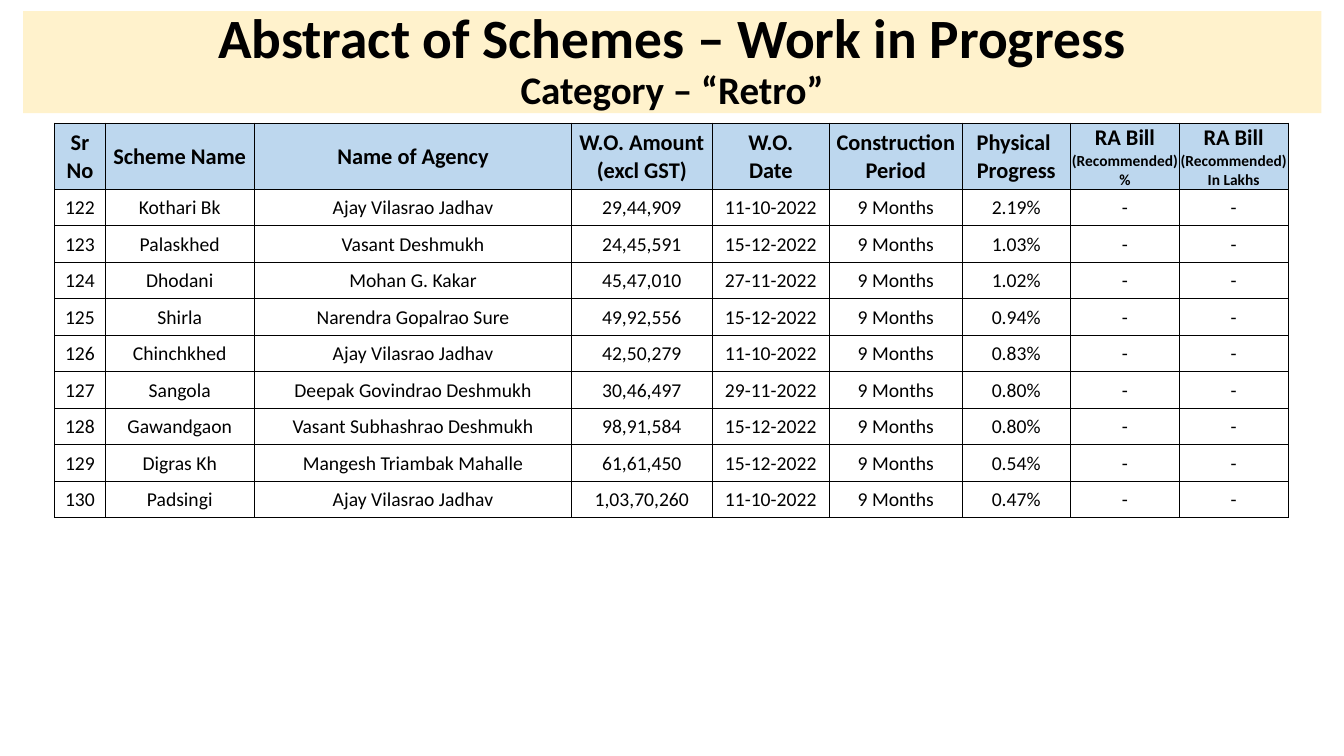
from copy import deepcopy
from dataclasses import dataclass

from lxml import etree
from pptx import Presentation
from pptx import util as u
from pptx.dml.color import RGBColor
from pptx.enum import text
from pptx.oxml import ns


# Colours and type sizes
@dataclass(frozen=True)
class Theme:
    font: str = "Calibri"
    ink: str = "000000"
    title_fill: str = "FFF2CC"
    header_fill: str = "BDD7EE"
    title_size: float = 39.6
    subtitle_size: float = 27.9
    header_size: float = 16
    note_size: float = 11
    body_size: float = 14
    thin_line: float = 0.5
    line: float = 1


THEME = Theme()

# Table content; \v is a line break, \n a new paragraph
COLUMN_WIDTHS = (1.27, 3.76, 8.0, 3.53, 2.97, 3.33, 2.74, 2.74, 2.74)
HEADERS = (
    "Sr No", "Scheme Name", "Name of Agency", "W.O. Amount\v(excl GST)",
    "W.O.\vDate", "Construction\vPeriod", "Physical \nProgress",
    "RA Bill\n(Recommended)\n%", "RA Bill\n(Recommended)\nIn Lakhs",
)
FIRST_NUMBER = 122
PERIOD = "9 Months"
NO_BILL = "-"
SCHEMES = (
    ("Kothari Bk", "Ajay Vilasrao Jadhav", "29,44,909", "11-10-2022", "2.19%"),
    ("Palaskhed", "Vasant Deshmukh", "24,45,591", "15-12-2022", "1.03%"),
    ("Dhodani", "Mohan G. Kakar", "45,47,010", "27-11-2022", "1.02%"),
    ("Shirla", "Narendra Gopalrao Sure", "49,92,556", "15-12-2022", "0.94%"),
    ("Chinchkhed", "Ajay Vilasrao Jadhav", "42,50,279", "11-10-2022", "0.83%"),
    ("Sangola", "Deepak Govindrao Deshmukh", "30,46,497", "29-11-2022", "0.80%"),
    ("Gawandgaon", "Vasant Subhashrao Deshmukh", "98,91,584", "15-12-2022", "0.80%"),
    ("Digras Kh", "Mangesh Triambak Mahalle", "61,61,450", "15-12-2022", "0.54%"),
    ("Padsingi", "Ajay Vilasrao Jadhav", "1,03,70,260", "11-10-2022", "0.47%"),
)


def format_paragraph(paragraph, sizes, bold):
    """Centre a paragraph and give each of its runs the matching size."""
    paragraph.alignment = text.PP_ALIGN.CENTER
    for run, size in zip(paragraph.runs, sizes):
        run.font.name = THEME.font
        run.font.size = u.Pt(size)
        run.font.bold = bold
        run.font.color.rgb = RGBColor.from_string(THEME.ink)
    # A line break takes the format of the first run
    for line_break in paragraph._p.findall(ns.qn("a:br")):
        line_break.insert(0, deepcopy(paragraph.runs[0].font._element))


def set_borders(cell, bottom_width):
    """Draw the four cell borders; they come before the fill in the XML."""
    properties = cell._tc.get_or_add_tcPr()
    widths = {"lnL": THEME.thin_line, "lnR": THEME.thin_line,
              "lnT": THEME.thin_line, "lnB": bottom_width}
    for index, (side, width) in enumerate(widths.items()):
        border = etree.Element(ns.qn(f"a:{side}"), w=str(u.Pt(width)))
        fill = etree.SubElement(border, ns.qn("a:solidFill"))
        etree.SubElement(fill, ns.qn("a:srgbClr"), val=THEME.ink)
        properties.insert(index, border)


def fill_cell(cell, content, size, header):
    cell.text_frame.text = content
    cell.vertical_anchor = text.MSO_ANCHOR.MIDDLE
    cell.margin_left = cell.margin_right = cell.margin_top = u.Cm(0.03)
    cell.margin_bottom = 0
    for paragraph in cell.text_frame.paragraphs:
        format_paragraph(paragraph, [size] * len(paragraph.runs), header)
    if header:
        cell.fill.solid()
        cell.fill.fore_color.rgb = RGBColor.from_string(THEME.header_fill)
    else:
        cell.fill.background()
    set_borders(cell, THEME.line if header else THEME.thin_line)


def add_grid(slide, rows, top, row_height, size, header=False):
    """Add a table with the shared column widths."""
    frame = slide.shapes.add_table(
        len(rows), len(COLUMN_WIDTHS), u.Cm(1.38), u.Cm(top),
        u.Cm(sum(COLUMN_WIDTHS)), u.Cm(row_height * len(rows)))
    table = frame.table
    table.first_row = header
    table.horz_banding = False
    for column, width in zip(table.columns, COLUMN_WIDTHS):
        column.width = u.Cm(width)
    for row, values in zip(table.rows, rows):
        row.height = u.Cm(row_height)
        for cell, value in zip(row.cells, values):
            fill_cell(cell, value, size, header)
    return table


def add_title(slide, title, subtitle):
    shape = slide.shapes.title
    shape.left, shape.top = u.Cm(0.58), u.Cm(0.28)
    shape.width, shape.height = u.Cm(32.72), u.Cm(2.57)
    shape.fill.solid()
    shape.fill.fore_color.rgb = RGBColor.from_string(THEME.title_fill)
    frame = shape.text_frame
    frame.text = f"{title}\v{subtitle}"
    frame.auto_size = text.MSO_AUTO_SIZE.NONE
    frame.vertical_anchor = text.MSO_ANCHOR.MIDDLE
    paragraph = frame.paragraphs[0]
    paragraph.line_spacing = 0.9
    format_paragraph(paragraph, (THEME.title_size, THEME.subtitle_size), True)


def main():
    presentation = Presentation()
    presentation.slide_width, presentation.slide_height = u.Cm(33.87), u.Cm(19.05)
    slide = presentation.slides.add_slide(presentation.slide_layouts[5])

    add_title(slide, "Abstract of Schemes – Work in Progress", "Category – “Retro”")

    # Column headings, with smaller notes below "RA Bill"
    headings = add_grid(slide, [HEADERS], 3.1, 1.65, THEME.header_size, header=True)
    for column in (7, 8):
        for paragraph in headings.cell(0, column).text_frame.paragraphs[1:]:
            format_paragraph(paragraph, [THEME.note_size], True)

    # Schemes
    rows = [
        (str(number), name, agency, amount, date, PERIOD, progress, NO_BILL, NO_BILL)
        for number, (name, agency, amount, date, progress)
        in enumerate(SCHEMES, FIRST_NUMBER)
    ]
    add_grid(slide, rows, 4.76, 0.92, THEME.body_size)

    presentation.save("out.pptx")


if __name__ == "__main__":
    main()
